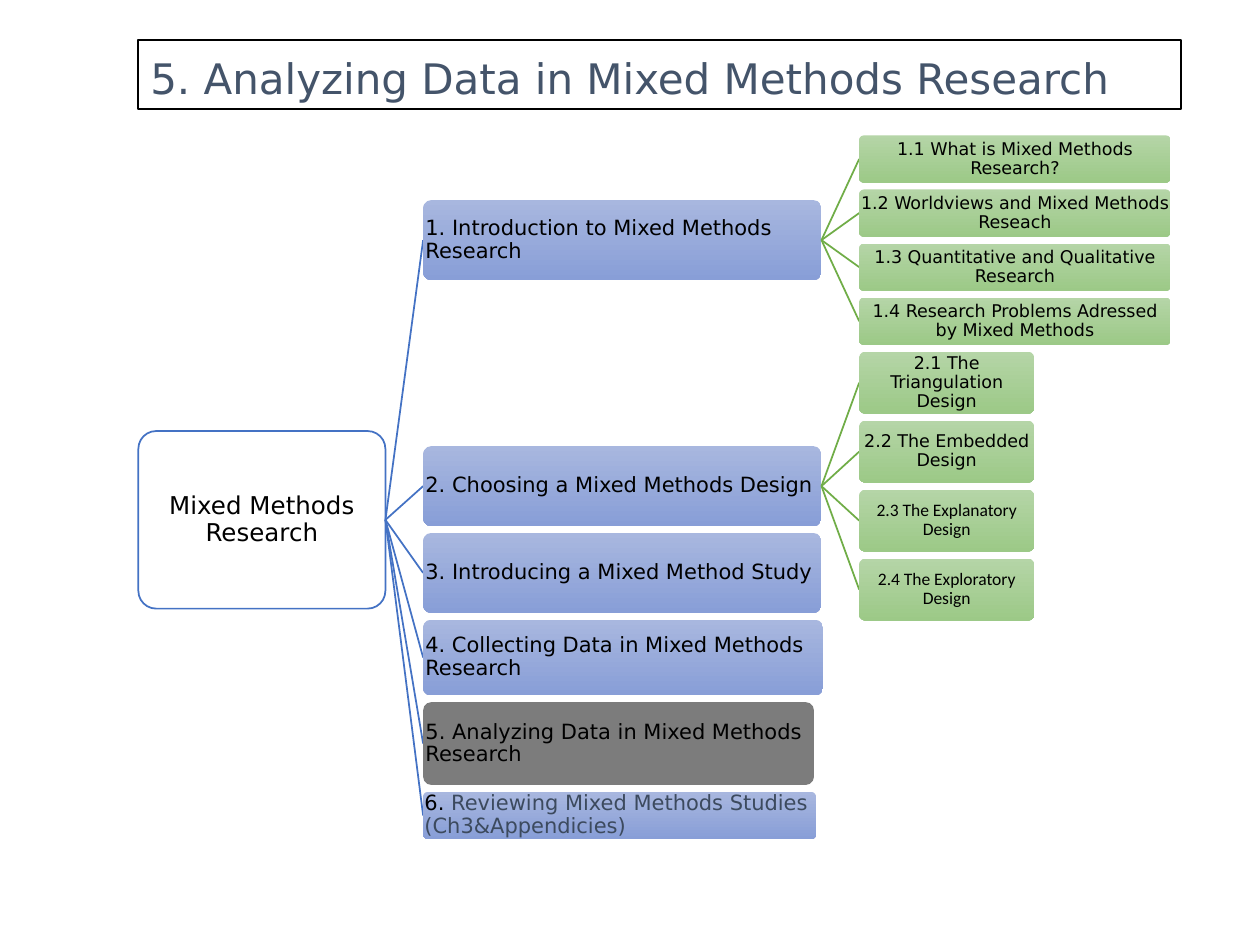
"""Build a slide with a left-to-right outline tree of a mixed methods research course."""
from dataclasses import dataclass

from lxml import etree
from pptx import Presentation
from pptx.dml.color import RGBColor
from pptx.enum.shapes import MSO_CONNECTOR, MSO_SHAPE
from pptx.enum.text import MSO_ANCHOR, PP_ALIGN
from pptx.oxml.ns import qn
from pptx.util import Cm, Pt

RECTANGLE, ROUNDED = MSO_SHAPE.RECTANGLE, MSO_SHAPE.ROUNDED_RECTANGLE
STRAIGHT = MSO_CONNECTOR.STRAIGHT
LEFT, CENTER = PP_ALIGN.LEFT, PP_ALIGN.CENTER
MIDDLE, BOTTOM = MSO_ANCHOR.MIDDLE, MSO_ANCHOR.BOTTOM


@dataclass(frozen=True)
class Theme:
    white: str = "FFFFFF"
    ink: str = "000000"
    title_ink: str = "44546A"
    muted_ink: str = "3C4A5E"
    blue: str = "4472C4"
    green: str = "70AD47"
    chapter_fill: tuple = ("A8B7DF", "889ED7")
    detail_fill: tuple = ("B5D5A7", "9CC987")
    current_fill: tuple = ("7C7C7C",)
    main_font: str = "DejaVu Sans"
    alternate_font: str = "Calibri"
    title_size: int = 24
    root_size: int = 14
    chapter_size: int = 12
    detail_size: int = 10


theme = Theme()
presentation = Presentation()
presentation.slide_width, presentation.slide_height = Cm(25.4), Cm(19.05)
slide = presentation.slides.add_slide(presentation.slide_layouts[6])


def add_node(bounds, parts, size, fill, align, font=theme.main_font, outline=None):
    node = slide.shapes.add_shape(ROUNDED, *(Cm(length) for length in bounds))
    node.shadow.inherit = False
    node.adjustments[0] = 0.1
    if len(fill) == 2:
        node.fill.gradient()
        node.fill.gradient_angle = 270
        for stop, color in zip(node.fill.gradient_stops, fill):
            stop.color.rgb = RGBColor.from_string(color)
    else:
        node.fill.solid()
        node.fill.fore_color.rgb = RGBColor.from_string(fill[0])
    if outline:
        node.line.color.rgb = RGBColor.from_string(outline)
        node.line.width = Pt(1)
    else:
        node.line.fill.background()
    frame = node.text_frame
    frame.word_wrap = True
    frame.vertical_anchor = MIDDLE
    frame.margin_left = frame.margin_right = frame.margin_top = frame.margin_bottom = 0
    paragraph = frame.paragraphs[0]
    paragraph.alignment = align
    paragraph.line_spacing = 0.9
    for text, color in parts:
        run = paragraph.add_run()
        run.text = text
        run.font.name, run.font.size = font, Pt(size)
        run.font.color.rgb = RGBColor.from_string(color)


def add_branch(start_x, start_y, end_x, end_y, color):
    ends = (Cm(length) for length in (start_x, start_y, end_x, end_y))
    branch = slide.shapes.add_connector(STRAIGHT, *ends)
    branch.line.color.rgb = RGBColor.from_string(color)
    branch.line.width = Pt(1)
    etree.SubElement(branch._element.spPr, qn("a:effectLst"))


title = slide.shapes.add_shape(RECTANGLE, Cm(2.78), Cm(0.8), Cm(21.03), Cm(1.4))
title.shadow.inherit = False
title.fill.solid()
title.fill.fore_color.rgb = RGBColor.from_string(theme.white)
title.line.color.rgb = RGBColor.from_string(theme.ink)
title.line.width = Pt(1)
title.text_frame.text = "5. Analyzing Data in Mixed Methods Research"
title.text_frame.word_wrap = True
title.text_frame.vertical_anchor = BOTTOM
heading = title.text_frame.paragraphs[0]
heading.alignment = LEFT
heading.font.name, heading.font.size = theme.main_font, Pt(theme.title_size)
heading.font.color.rgb = RGBColor.from_string(theme.title_ink)

root_left, root_top, root_width, root_height = 2.79, 8.69, 4.98, 3.58
root_right, root_middle = root_left + root_width, root_top + root_height / 2
add_node((root_left, root_top, root_width, root_height),
         [("Mixed Methods Research", theme.ink)],
         theme.root_size, (theme.white,), CENTER, outline=theme.blue)

introduction_details = [
    ("1.1 What is Mixed Methods Research?", theme.main_font),
    ("1.2 Worldviews and Mixed Methods Reseach", theme.main_font),
    ("1.3 Quantitative and Qualitative Research", theme.main_font),
    ("1.4 Research Problems Adressed by Mixed Methods", theme.main_font),
]
design_details = [
    ("2.1 The Triangulation Design", theme.main_font),
    ("2.2 The Embedded Design", theme.main_font),
    ("2.3 The Explanatory Design", theme.alternate_font),
    ("2.4 The Exploratory Design", theme.alternate_font),
]
chapters = [
    ([("1. Introduction to Mixed Methods Research", theme.ink)],
     8.03, 1.61, theme.chapter_fill, introduction_details, 6.28, 0.95),
    ([("2. Choosing a Mixed Methods Design", theme.ink)],
     8.03, 1.61, theme.chapter_fill, design_details, 3.53, 1.25),
    ([("3. Introducing a Mixed Method Study", theme.ink)],
     8.03, 1.61, theme.chapter_fill, [], 0, 0),
    ([("4. Collecting Data in Mixed Methods Research", theme.ink)],
     8.06, 1.52, theme.chapter_fill, [], 0, 0),
    ([("5. Analyzing Data in Mixed Methods Research", theme.ink)],
     7.88, 1.67, theme.current_fill, [], 0, 0),
    ([("6. ", theme.ink),
      ("Reviewing Mixed Methods Studies (Ch3&Appendicies)", theme.muted_ink)],
     7.92, 0.95, theme.chapter_fill, [], 0, 0),
]

gap = 0.14
chapter_left, detail_left = 8.53, 17.32
chapter_top, detail_top = 0, 2.73
for parts, width, height, fill, details, detail_width, detail_height in chapters:
    pitch = detail_height + gap
    if details:
        chapter_top = detail_top + (len(details) * pitch - gap - height) / 2
    chapter_middle = chapter_top + height / 2
    add_branch(root_right, root_middle, chapter_left, chapter_middle, theme.blue)
    add_node((chapter_left, chapter_top, width, height), parts,
             theme.chapter_size, fill, LEFT)
    for text, font in details:
        add_branch(chapter_left + width, chapter_middle,
                   detail_left, detail_top + detail_height / 2, theme.green)
        add_node((detail_left, detail_top, detail_width, detail_height),
                 [(text, theme.ink)], theme.detail_size, theme.detail_fill, CENTER, font)
        detail_top += pitch
    chapter_top += height + gap

presentation.save("out.pptx")
